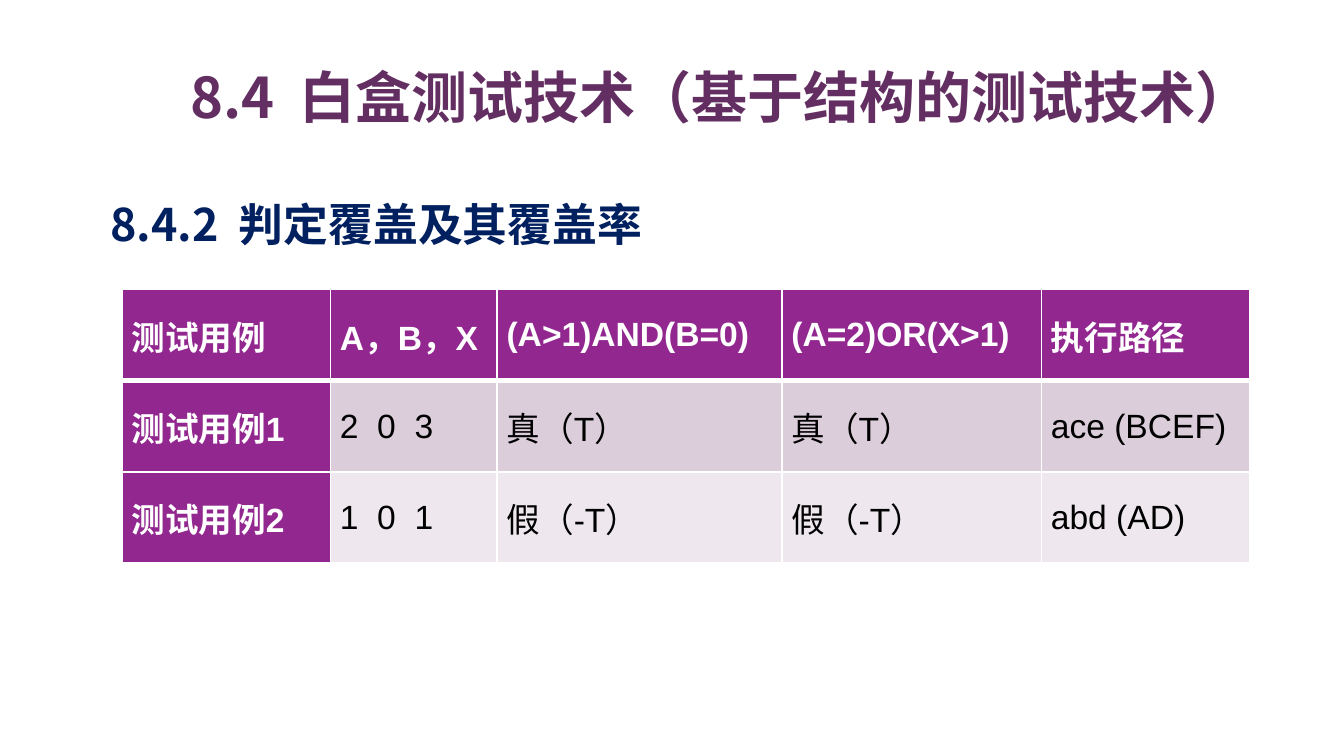
import pptx
import pptx.dml.color
import pptx.enum.text
import pptx.oxml.ns
import pptx.oxml.xmlchemy
import pptx.util
from lxml import etree

Pt = pptx.util.Pt
qn = pptx.oxml.ns.qn
Align = pptx.enum.text.PP_ALIGN
Anchor = pptx.enum.text.MSO_ANCHOR

COLORS = {
    "title": "632E62",
    "subtitle": "002060",
    "header": "92278F",
    "odd_row": "DCCDDB",
    "even_row": "EEE8EE",
    "light": "FFFFFF",
    "dark": "000000",
}
HEADING_FONT = "Noto Sans CJK SC"
TABLE_FONT = "Arial"

CASES = [
    ["测试用例", "A，B，X", "(A>1)AND(B=0)", "(A=2)OR(X>1)", "执行路径"],
    ["测试用例1", "2  0  3", "真（T）", "真（T）", "ace (BCEF)"],
    ["测试用例2", "1  0  1", "假（-T）", "假（-T）", "abd (AD)"],
]
COLUMN_WIDTHS = [111.6, 89.3, 152.6, 139, 111.6]
ROW_HEIGHT = 49


def rgb(name):
    return pptx.dml.color.RGBColor.from_string(COLORS[name])


def style_paragraph(paragraph, font_name, size, color, bold, align):
    paragraph.alignment = align
    font = paragraph.font
    font.name, font.size, font.bold = font_name, Pt(size), bold
    font.color.rgb = rgb(color)


def fill_heading(holder, text, box, size, color, align, line_height, top_inset):
    """Move a placeholder and give it one unbulleted heading line."""
    holder.left, holder.top, holder.width, holder.height = map(Pt, box)
    frame = holder.text_frame
    frame.text = text
    frame.word_wrap = True
    frame.auto_size = pptx.enum.text.MSO_AUTO_SIZE.NONE
    frame.vertical_anchor = Anchor.TOP
    frame.margin_top = Pt(top_inset)
    heading = frame.paragraphs[0]
    heading.line_spacing = Pt(line_height)
    heading.space_before = Pt(0)
    style_paragraph(heading, HEADING_FONT, size, color, True, align)

    # No bullet or indent, and the same font for Chinese characters
    properties = heading._p.pPr
    properties.set("marL", "0")
    properties.set("indent", "0")
    defaults = properties.find(qn("a:defRPr"))
    defaults.addprevious(etree.Element(qn("a:buNone")))
    etree.SubElement(defaults, qn("a:ea"), typeface=HEADING_FONT)


def set_borders(cell, widths):
    """Draw white borders; widths maps each side to points."""
    properties = cell._tc.get_or_add_tcPr()
    for position, (side, width) in enumerate(widths.items()):
        line = etree.Element(qn("a:" + side), w=str(Pt(width)))
        solid = etree.SubElement(line, qn("a:solidFill"))
        etree.SubElement(solid, qn("a:srgbClr"), val=COLORS["light"])
        properties.insert(position, line)


def fill_cell(cell, text, row, column):
    is_heading = row == 0 or column == 0
    cell.text = text
    cell.vertical_anchor = Anchor.MIDDLE
    cell.margin_left = cell.margin_right = Pt(5)
    cell.margin_top, cell.margin_bottom = Pt(0.7), Pt(0)
    style_paragraph(cell.text_frame.paragraphs[0], TABLE_FONT, 18,
                    "light" if is_heading else "dark", is_heading, Align.JUSTIFY)
    band = "odd_row" if row % 2 else "even_row"
    cell.fill.solid()
    cell.fill.fore_color.rgb = rgb("header" if is_heading else band)
    set_borders(cell, {"lnL": 1, "lnR": 1,
                       "lnT": 3 if row == 1 else 1,
                       "lnB": 3 if row == 0 else 1})


def add_case_table(slide, left, top):
    table = slide.shapes.add_table(
        len(CASES), len(COLUMN_WIDTHS), Pt(left), Pt(top),
        Pt(sum(COLUMN_WIDTHS)), Pt(ROW_HEIGHT * len(CASES))).table
    table.first_col = True
    for column, width in zip(table.columns, COLUMN_WIDTHS):
        column.width = Pt(width)
    for row, texts in enumerate(CASES):
        table.rows[row].height = Pt(ROW_HEIGHT)
        for column, text in enumerate(texts):
            fill_cell(table.cell(row, column), text, row, column)


def main():
    deck = pptx.Presentation()
    deck.slide_width, deck.slide_height = Pt(720), Pt(405)
    slide = deck.slides.add_slide(deck.slide_layouts[1])

    # Chapter title and section heading
    fill_heading(slide.shapes.title, "8.4  白盒测试技术（基于结构的测试技术）",
                 (94.3, 27.4, 583.9, 51.1), 30, "title", Align.CENTER, 36, 6)
    fill_heading(slide.placeholders[1], "8.4.2  判定覆盖及其覆盖率",
                 (51.8, 85.7, 632.9, 46.1), 24, "subtitle", Align.JUSTIFY, 45, 3.6)

    # Test cases with their decision outcomes
    add_case_table(slide, 65.5, 154.8)
    deck.save("out.pptx")


if __name__ == "__main__":
    main()
